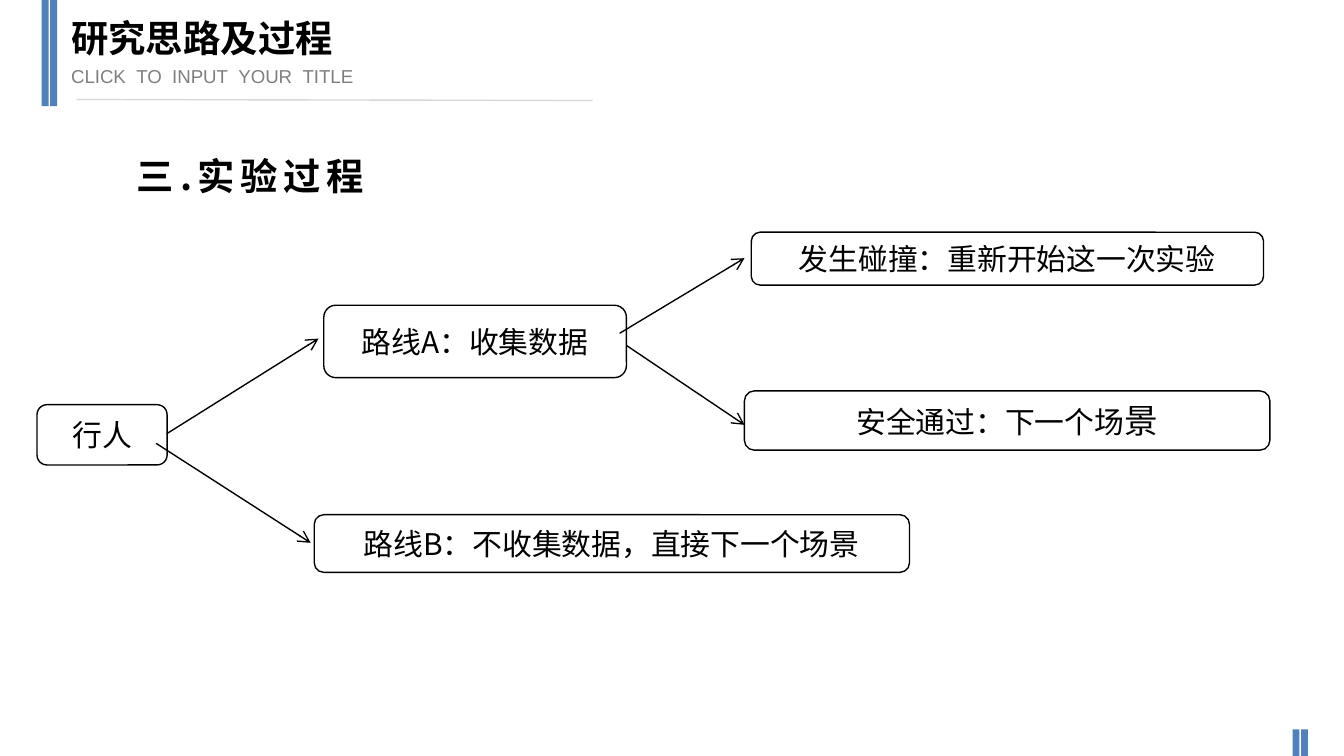
from dataclasses import dataclass
from itertools import product

from lxml.etree import SubElement
from pptx import Presentation
from pptx.dml.color import RGBColor
from pptx.enum.shapes import MSO_CONNECTOR as Connector
from pptx.enum.shapes import MSO_SHAPE as Preset
from pptx.enum.text import MSO_ANCHOR as Anchor
from pptx.enum.text import PP_ALIGN as Align
from pptx.oxml.ns import qn
from pptx.util import Cm, Pt


@dataclass(frozen=True)
class Theme:
    accent: RGBColor = RGBColor(0x4F, 0x81, 0xBD)
    ink: RGBColor = RGBColor(0, 0, 0)
    paper: RGBColor = RGBColor(255, 255, 255)
    muted: RGBColor = RGBColor(0x7F, 0x7F, 0x7F)
    rule: RGBColor = RGBColor(0xD8, 0xD8, 0xD8)
    latin: str = "Arial"
    cjk: str = "Noto Sans CJK SC"
    title: float = 20
    node: float = 16
    node_large: float = 18
    caption: float = 10
    line: float = 0.75


THEME = Theme()


@dataclass(frozen=True)
class Box:
    """Left, top, width and height in centimetres."""
    left: float
    top: float
    width: float
    height: float

    def lengths(self) -> tuple:
        return Cm(self.left), Cm(self.top), Cm(self.width), Cm(self.height)


@dataclass(frozen=True)
class Piece:
    text: str
    size: float = THEME.node
    font: str = THEME.latin
    color: RGBColor = THEME.ink
    bold: bool = False
    tracking: float = 0


@dataclass(frozen=True)
class Node:
    box: Box
    pieces: tuple[Piece, ...]


@dataclass(frozen=True)
class Link:
    """Start and end points in centimetres."""
    x1: float
    y1: float
    x2: float
    y2: float


BARS = (Box(0.79, 0, 0.13, 2.01), Box(24.43, 13.79, 0.13, 0.5))
BAR_PITCH = 0.16
HEADER_RULE = Link(1.45, 1.88, 11.2, 1.9)

NODES = (
    Node(Box(0.7, 7.65, 2.46, 1.14), (Piece("行人"),)),
    Node(Box(6.12, 5.77, 5.72, 1.37), (Piece("路线A：收集数据", font=THEME.cjk),)),
    Node(Box(5.94, 9.73, 11.25, 1.09),
         (Piece("路线B：不收集数据，直接下一个场景", font=THEME.cjk),)),
    Node(Box(14.07, 7.39, 9.93, 1.12),
         (Piece("安全通过：下一个场"), Piece("景", THEME.node_large))),
    Node(Box(14.2, 4.39, 9.68, 1), (Piece("发生碰撞：重新开始这一次实验"),)),
)
LINKS = (
    Link(3.15, 8.2, 6.02, 6.4),
    Link(2.95, 8.38, 5.87, 10.26),
    Link(11.71, 6.3, 14.07, 4.88),
    Link(11.84, 6.53, 14.07, 8.03),
)


def add_pieces(paragraph, pieces: tuple[Piece, ...]) -> None:
    for piece in pieces:
        run = paragraph.add_run()
        run.text = piece.text
        run.font.size = Pt(piece.size)
        run.font.bold = piece.bold
        run.font.color.rgb = piece.color
        run.font.name = piece.font
        properties = run.font._element
        SubElement(properties, qn("a:ea"), typeface=THEME.cjk)
        if piece.tracking:
            properties.set("spc", str(round(piece.tracking * 100)))


def fill_text(holder, box: Box, pieces: tuple[Piece, ...]) -> None:
    """Place a text box or placeholder and write one unbulleted line in it."""
    holder.left, holder.top, holder.width, holder.height = box.lengths()
    frame = holder.text_frame
    frame.word_wrap = True
    frame.vertical_anchor = Anchor.TOP
    line = frame.paragraphs[0]
    properties = line._p.get_or_add_pPr()
    properties.set("marL", "0")
    properties.set("indent", "0")
    SubElement(properties, qn("a:buNone"))
    line.alignment = Align.LEFT
    line.space_before = Pt(0)
    add_pieces(line, pieces)


def spaced_words(text: str) -> tuple[Piece, ...]:
    """Split a caption into words joined by widened spaces."""
    pieces = []
    for word in text.split():
        if pieces:
            pieces.append(Piece(" ", THEME.caption, color=THEME.muted, tracking=2.8))
        pieces.append(Piece(word, THEME.caption, color=THEME.muted))
    return tuple(pieces)


def add_bar(shapes, box: Box) -> None:
    bar = shapes.add_shape(Preset.RECTANGLE, *box.lengths())
    bar.shadow.inherit = False
    bar.fill.solid()
    bar.fill.fore_color.rgb = THEME.accent
    bar.line.fill.background()


def add_line(shapes, link: Link, color: RGBColor, arrow: bool = False) -> None:
    connector = shapes.add_connector(
        Connector.STRAIGHT, Cm(link.x1), Cm(link.y1), Cm(link.x2), Cm(link.y2))
    connector.line.color.rgb = color
    connector.line.width = Pt(THEME.line)
    if arrow:
        SubElement(connector.line._get_or_add_ln(), qn("a:tailEnd"), type="arrow")
    SubElement(connector._element.spPr, qn("a:effectLst"))


def add_node(shapes, node: Node) -> None:
    shape = shapes.add_shape(Preset.ROUNDED_RECTANGLE, *node.box.lengths())
    shape.shadow.inherit = False
    shape.fill.solid()
    shape.fill.fore_color.rgb = THEME.paper
    shape.line.color.rgb = THEME.ink
    shape.line.width = Pt(THEME.line)
    shape.text_frame.vertical_anchor = Anchor.MIDDLE
    label = shape.text_frame.paragraphs[0]
    label.alignment = Align.CENTER
    add_pieces(label, node.pieces)


def main() -> None:
    deck = Presentation()
    deck.slide_width, deck.slide_height = Cm(25.4), Cm(14.29)
    slide = deck.slides.add_slide(deck.slide_layouts[1])
    shapes = slide.shapes

    for first, index in product(BARS, range(2)):
        add_bar(shapes, Box(first.left + index * BAR_PITCH, first.top,
                            first.width, first.height))
    add_line(shapes, HEADER_RULE, THEME.rule)

    fill_text(shapes.title, Box(1.09, 0.15, 10.26, 1.27),
              (Piece("研究思路及过程", THEME.title, bold=True),))
    fill_text(slide.placeholders[1], Box(1.09, 1.09, 8, 0.69),
              spaced_words("CLICK TO INPUT YOUR TITLE"))
    heading = Box(2.34, 2.77, 16.94, 1.12)
    fill_text(shapes.add_textbox(*heading.lengths()), heading,
              (Piece("三.实验过程", THEME.title, THEME.cjk, bold=True, tracking=3),))

    for node in NODES:
        add_node(shapes, node)
    for link in LINKS:
        add_line(shapes, link, THEME.ink, arrow=True)

    deck.save("out.pptx")


if __name__ == "__main__":
    main()
